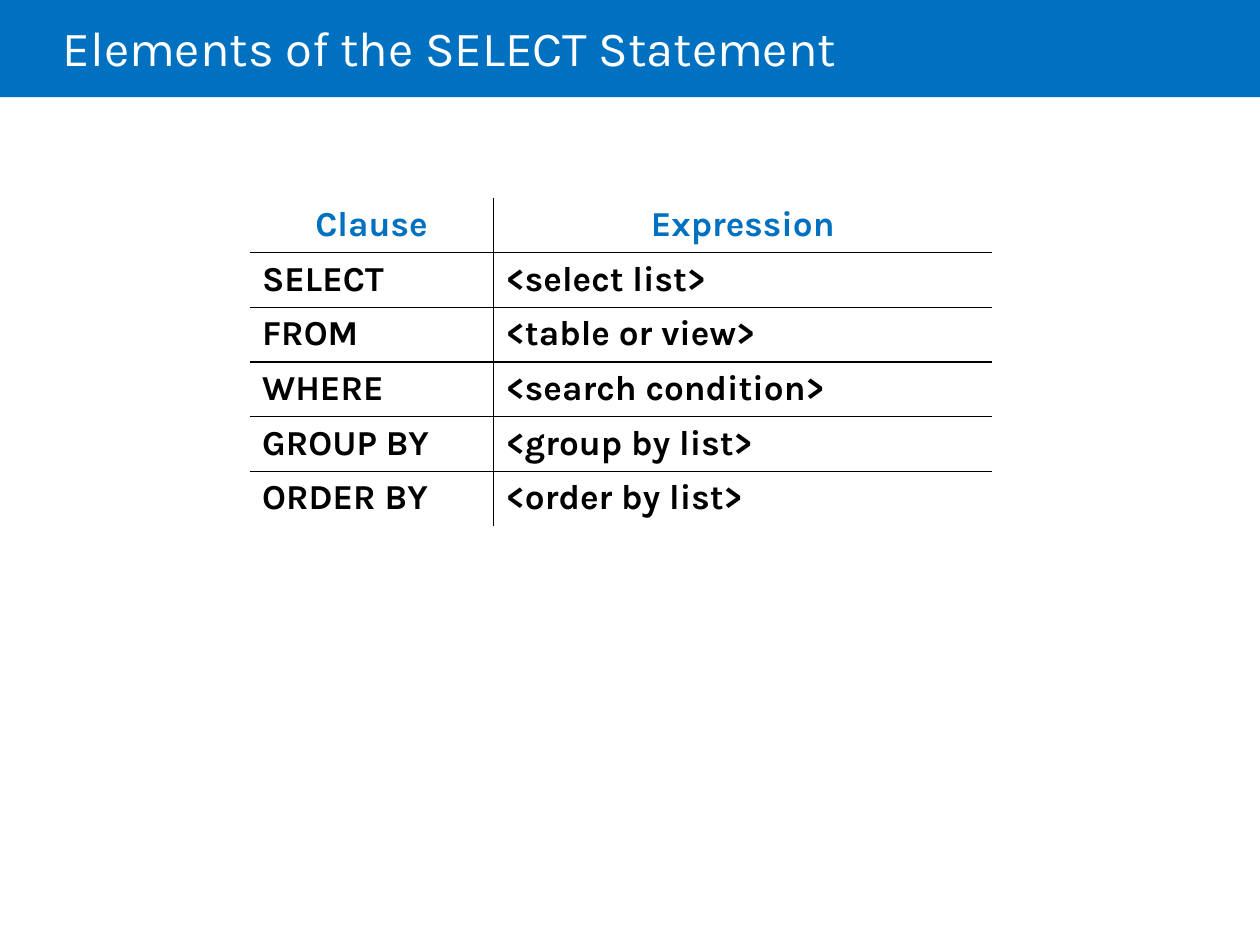
"""Build a slide that lists the elements of the SELECT statement."""
import lxml.etree
import pptx
import pptx.dml.color
import pptx.enum.shapes
import pptx.enum.text
import pptx.oxml.ns
import pptx.util
from pptx.util import Cm

FONT = "Karla"
BLUE = "0070C0"
WHITE = "FFFFFF"
BLACK = "000000"
CLAUSES = [
    ("Clause", "Expression"),
    ("SELECT", "<select list>"),
    ("FROM", "<table or view>"),
    ("WHERE", "<search condition>"),
    ("GROUP BY", "<group by list>"),
    ("ORDER BY", "<order by list>"),
]


def rgb(value):
    return pptx.dml.color.RGBColor.from_string(value)


def style_paragraph(paragraph, size, color, bold=False):
    paragraph.font.name = FONT
    paragraph.font.size = pptx.util.Pt(size)
    paragraph.font.bold = bold
    paragraph.font.color.rgb = rgb(color)


def add_banner(slide):
    shape = slide.shapes.add_shape(
        pptx.enum.shapes.MSO_SHAPE.RECTANGLE, 0, 0, Cm(25.4), Cm(1.96))
    shape.shadow.inherit = False
    shape.fill.solid()
    shape.fill.fore_color.rgb = rgb(BLUE)
    shape.line.fill.background()


def add_title(slide, text):
    frame = slide.shapes.add_textbox(Cm(1.27), 0, Cm(21.59), Cm(2.06)).text_frame
    frame.word_wrap = True
    frame.margin_left = 0
    frame.vertical_anchor = pptx.enum.text.MSO_ANCHOR.MIDDLE
    paragraph = frame.paragraphs[0]
    paragraph.text = text
    paragraph.line_spacing = 0.85
    style_paragraph(paragraph, 28, WHITE)


def set_border(cell, side, visible):
    properties = cell._tc.get_or_add_tcPr()
    qualified = pptx.oxml.ns.qn
    line = lxml.etree.SubElement(properties, qualified(f"a:ln{side}"), w="12700")
    if visible:
        fill = lxml.etree.SubElement(line, qualified("a:solidFill"))
        lxml.etree.SubElement(fill, qualified("a:srgbClr"), val=BLACK)
    else:
        lxml.etree.SubElement(line, qualified("a:noFill"))


def add_clause_table(slide, rows):
    widths = [Cm(4.92), Cm(10.05)]
    row_height = Cm(1.04)
    table = slide.shapes.add_table(
        len(rows), len(widths), Cm(5.03), Cm(3.99),
        sum(widths), row_height * len(rows)).table
    for column, width in zip(table.columns, widths):
        column.width = width
    for row_index, texts in enumerate(rows):
        for column_index, text in enumerate(texts):
            cell = table.cell(row_index, column_index)
            set_border(cell, "L", column_index > 0)
            set_border(cell, "R", column_index < len(widths) - 1)
            set_border(cell, "T", row_index > 0)
            set_border(cell, "B", row_index < len(rows) - 1)
            cell.fill.solid()
            cell.fill.fore_color.rgb = rgb(WHITE)
            paragraph = cell.text_frame.paragraphs[0]
            paragraph.text = text
            style_paragraph(paragraph, 20, BLACK if row_index else BLUE, bold=True)
            if row_index == 0:
                paragraph.alignment = pptx.enum.text.PP_ALIGN.CENTER


def main():
    presentation = pptx.Presentation()
    presentation.slide_width = Cm(25.4)
    presentation.slide_height = Cm(19.05)
    slide = presentation.slides.add_slide(presentation.slide_layouts[6])
    add_banner(slide)
    add_title(slide, "Elements of the SELECT Statement")
    add_clause_table(slide, CLAUSES)
    presentation.save("out.pptx")


if __name__ == "__main__":
    main()
